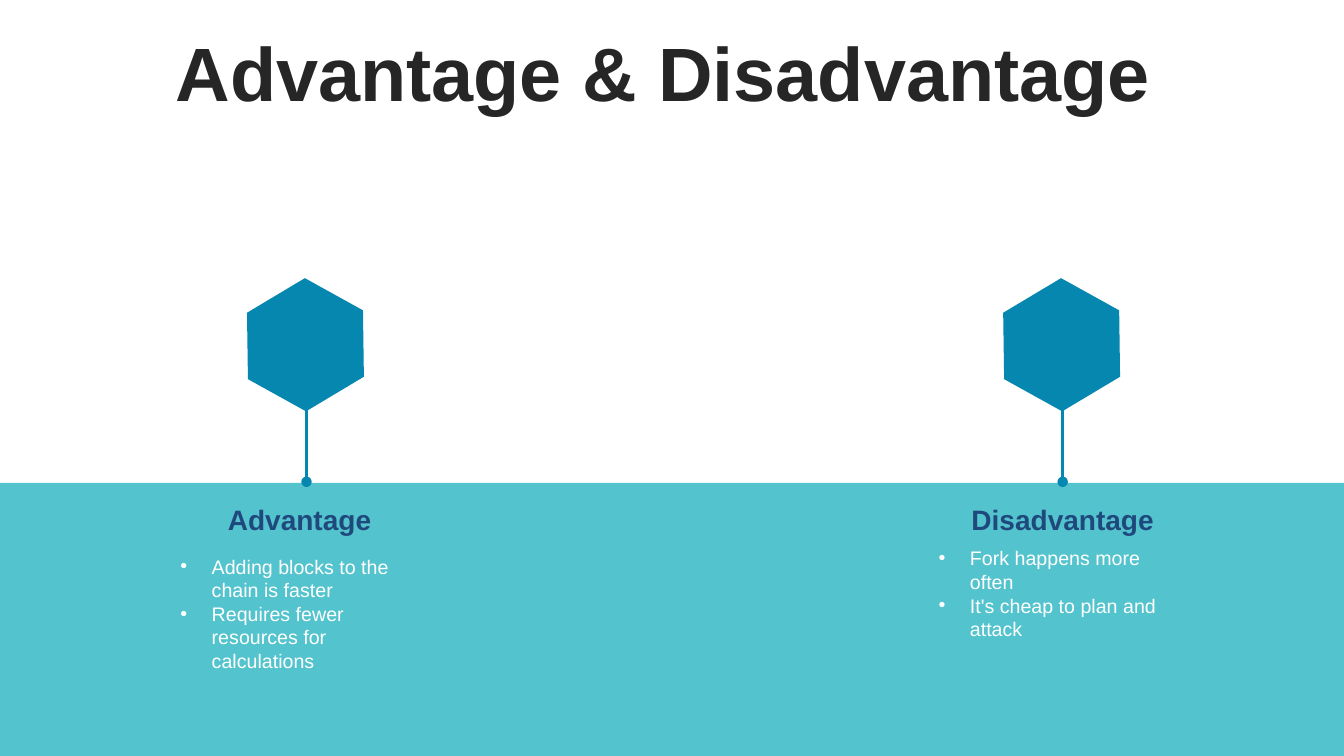
from lxml import etree
from pptx import Presentation
from pptx import util as u
from pptx.dml.color import RGBColor
from pptx.enum import shapes, text
from pptx.oxml.ns import qn

# Content
TITLE = "Advantage & Disadvantage "
# head, list items, head box (left, width), list box (left, top, width, height)
SIDES = [
    ("Advantage ",
     ["Adding blocks to the chain is faster",
      "Requires fewer resources for calculations"],
     (1.69, 2.64), (1.69, 5.45, 2.63, 1.28)),
    ("Disadvantage",
     ["Fork happens more often", "It's cheap to plan and attack"],
     (9.32, 2.44), (9.21, 5.37, 2.64, 1.04)),
]

# Grid and colours
WIDE, HIGH = 13.33, 7.5
BAND_TOP = 4.79
FIRST, STEP = 3.04, 7.5          # stem of the first side, gap to the next
HEX_W, HEX_H, HEX_TOP = 1.33, 1.14, 2.85
BLUE, TEAL, NAVY, DARK, WHITE = "0587AF", "53C3CD", "1F497D", "262626", "FFFFFF"


def rgb(code):
    return RGBColor.from_string(code)


def place(shape, left, top, width, height):
    shape.left, shape.top = u.Inches(left), u.Inches(top)
    shape.width, shape.height = u.Inches(width), u.Inches(height)


def write(shape, lines, size, color, bold=False, align=text.PP_ALIGN.CENTER,
          anchor=text.MSO_ANCHOR.MIDDLE, fit=text.MSO_AUTO_SIZE.SHAPE_TO_FIT_TEXT,
          space=1.0, bullet=False):
    frame = shape.text_frame
    frame.text = "\n".join(lines)
    frame.word_wrap = True
    frame.auto_size = fit
    frame.vertical_anchor = anchor
    for para in frame.paragraphs:
        if bullet:
            props = para._p.get_or_add_pPr()
            props.set("marL", str(u.Inches(0.31)))
            props.set("indent", str(-u.Inches(0.31)))
            etree.SubElement(props, qn("a:buChar"), char="•")
        para.alignment = align
        para.line_spacing = space
        para.space_before = u.Pt(0)
        font = para.font
        font.name, font.size, font.bold = "Arial", u.Pt(size), bold
        font.color.rgb = rgb(color)


def block(slide, kind, box, color):
    shape = slide.shapes.add_shape(kind, *[u.Inches(n) for n in box])
    shape.shadow.inherit = False
    shape.fill.solid()
    shape.fill.fore_color.rgb = rgb(color)
    shape.line.fill.background()
    return shape


def stem(slide, x):
    line = slide.shapes.add_connector(
        shapes.MSO_CONNECTOR.STRAIGHT,
        u.Inches(x), u.Inches(4.02), u.Inches(x), u.Inches(4.78))
    line.line.color.rgb = rgb(BLUE)
    line.line.width = u.Pt(2.5)
    etree.SubElement(line.line._get_or_add_ln(), qn("a:tailEnd"), type="oval")
    etree.SubElement(line.element.spPr, qn("a:effectLst"))


def main():
    deck = Presentation()
    deck.slide_width, deck.slide_height = u.Inches(WIDE), u.Inches(HIGH)
    slide = deck.slides.add_slide(deck.slide_layouts[3])
    title, *lists = slide.placeholders

    # Lower band, behind everything else
    band = block(slide, shapes.MSO_SHAPE.RECTANGLE,
                 (0, BAND_TOP, WIDE, HIGH - BAND_TOP), TEAL)
    slide.shapes.element.insert(2, band.element)

    # Title
    place(title, 0.35, 0.37, 12.66, 0.79)
    write(title, [TITLE], 54, DARK, bold=True, space=0.9,
          fit=text.MSO_AUTO_SIZE.NONE)

    # Each side: hexagon, stem, head and list
    for i, (head, items, (left, width), box) in enumerate(SIDES):
        x = FIRST + i * STEP
        hexagon = block(slide, shapes.MSO_SHAPE.HEXAGON,
                        (x - 0.01 - HEX_W / 2, HEX_TOP, HEX_W, HEX_H), BLUE)
        hexagon.adjustments[0] = 0.29
        hexagon.rotation = 329.1
        stem(slide, x)

        label = slide.shapes.add_textbox(0, 0, 0, 0)
        place(label, left, 4.93, width, 0.44)
        write(label, [head], 20, NAVY, bold=True)

        place(lists[i], *box)
        write(lists[i], items, 14, WHITE, align=text.PP_ALIGN.LEFT,
              anchor=text.MSO_ANCHOR.TOP, bullet=True)

    deck.save("out.pptx")


if __name__ == "__main__":
    main()
